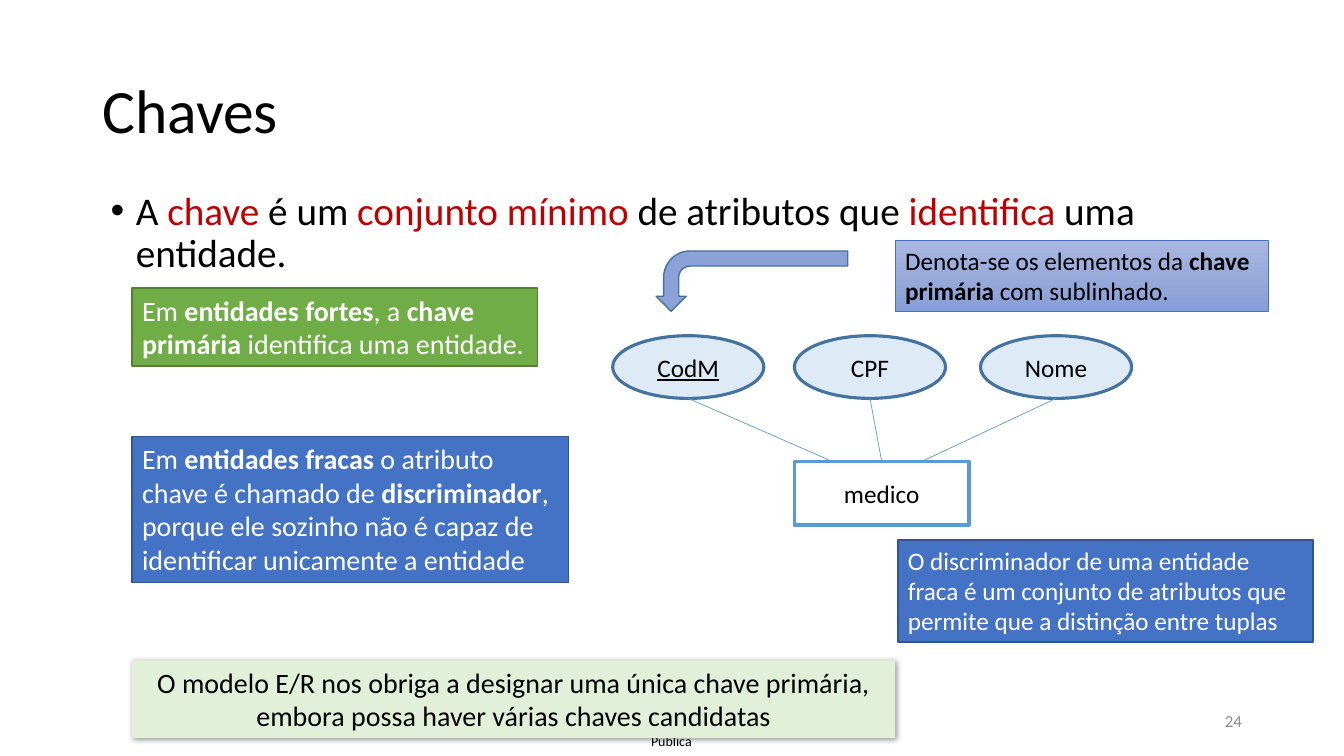
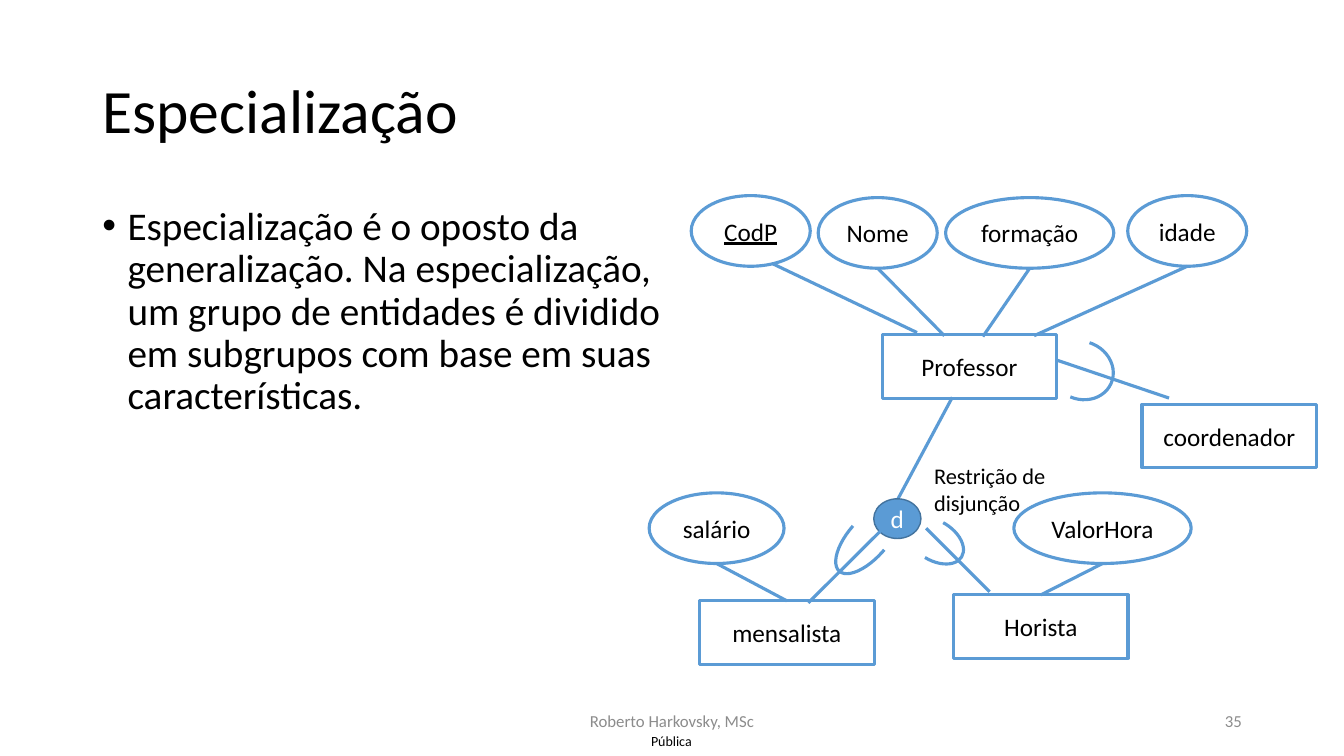
from lxml.etree import SubElement
from pptx import Presentation
from pptx.dml.color import RGBColor
from pptx.enum.shapes import MSO_CONNECTOR, MSO_SHAPE
from pptx.enum.text import MSO_ANCHOR, PP_ALIGN
from pptx.oxml.ns import qn
from pptx.util import Cm, Pt

FONT = "Calibri"
BLACK, WHITE, GRAY, RED = "000000", "FFFFFF", "8C8C8C", "C00000"
SKY, STEEL, PALE_BLUE = "5B9BD5", "43739E", "DEEBF7"
BLUE, NAVY, PERIWINKLE = "4472C4", "325491", "8CA1D8"
GREEN, DARK_GREEN, PALE_GREEN = "70AD47", "538035", "E2F0D9"

BOLD = {"bold": True}
KEYWORD = {"color": RED}
ENTITY_SIZE = (4.4, 1.6)
KEY_ATTRIBUTE_SIZE = (3.81, 1.58)
ATTRIBUTE_HEIGHT = 1.78
DIAGRAM_LINE = 2.25
THIN_LINE = 0.5


def rgb(color):
    return RGBColor.from_string(color)


def bottom_of(shape):
    """Middle of the lower side, in centimetres."""
    return (shape.left + shape.width / 2) / Cm(1), (shape.top + shape.height) / Cm(1)


def write(shape, text, size=18, color=BLACK, align=PP_ALIGN.LEFT, anchor=MSO_ANCHOR.TOP,
          underline=False, line_spacing=None, bullet=False, inset=None):
    """Text is a string, or a list of strings and (string, run format) pairs."""
    frame = shape.text_frame
    frame.word_wrap = True
    frame.vertical_anchor = anchor
    if inset is not None:
        frame.margin_left = frame.margin_right = Cm(inset)
        frame.margin_top = frame.margin_bottom = Cm(inset)
    paragraph = frame.paragraphs[0]
    paragraph.alignment = align
    if line_spacing:
        paragraph.line_spacing = line_spacing
    if bullet:
        properties = paragraph._p.get_or_add_pPr()
        properties.set("marL", str(Cm(0.635)))
        properties.set("indent", str(-Cm(0.635)))
        SubElement(properties, qn("a:buFont")).set("typeface", "Arial")
        SubElement(properties, qn("a:buChar")).set("char", "•")
    for part in [text] if isinstance(text, str) else text:
        words, changes = (part, {}) if isinstance(part, str) else part
        run = paragraph.add_run()
        run.text = words
        font = run.font
        font.name, font.size = FONT, Pt(size)
        font.bold = changes.get("bold", False)
        font.underline = underline
        font.color.rgb = rgb(changes.get("color", color))


class Deck:
    def __init__(self):
        self.presentation = Presentation()
        self.presentation.slide_width = Cm(33.87)
        self.presentation.slide_height = Cm(19.05)
        self.slide = None

    def add_slide(self, title, number):
        self.slide = self.presentation.slides.add_slide(self.presentation.slide_layouts[6])
        middle = MSO_ANCHOR.MIDDLE
        self.text((16.03, 18.31, 1.78, 0.74), "Pública", size=10, align=PP_ALIGN.CENTER,
                  anchor=middle, inset=0)
        self.text((2.33, 1.01, 29.21, 3.68), title, size=44, anchor=middle, line_spacing=0.9)
        self.text((23.93, 17.65, 7.62, 1.02), str(number), size=12, color=GRAY,
                  align=PP_ALIGN.RIGHT, anchor=middle)

    def author(self, name):
        self.text((11.22, 17.65, 11.43, 1.02), name, size=12, color=GRAY,
                  align=PP_ALIGN.CENTER, anchor=MSO_ANCHOR.MIDDLE)

    def text(self, box, text, **text_format):
        write(self.slide.shapes.add_textbox(*map(Cm, box)), text, **text_format)

    def bullet(self, box, text):
        self.text(box, text, size=28, line_spacing=0.9, bullet=True)

    def shape(self, kind, box, fill=None, line=None, weight=1.0):
        shape = self.slide.shapes.add_shape(kind, *map(Cm, box))
        shape.shadow.inherit = False
        if fill:
            shape.fill.solid()
            shape.fill.fore_color.rgb = rgb(fill)
        else:
            shape.fill.background()
        if line:
            shape.line.color.rgb = rgb(line)
            shape.line.width = Pt(weight)
        else:
            shape.line.fill.background()
        return shape

    def note(self, box, text, fill, line=None, weight=1.0, **text_format):
        shape = self.shape(MSO_SHAPE.RECTANGLE, box, fill, line, weight)
        write(shape, text, **text_format)
        return shape

    def node(self, kind, box, text, fill=WHITE, line=SKY, weight=DIAGRAM_LINE, **text_format):
        shape = self.shape(kind, box, fill, line, weight)
        write(shape, text, align=PP_ALIGN.CENTER, anchor=MSO_ANCHOR.MIDDLE, **text_format)
        return shape

    def entity(self, left, top, name):
        return self.node(MSO_SHAPE.RECTANGLE, (left, top, *ENTITY_SIZE), name)

    def attribute(self, box, name, **node_format):
        return self.node(MSO_SHAPE.OVAL, box, name, **node_format)

    def link(self, start, end, weight=DIAGRAM_LINE):
        """Ends are points; an entity as the end is joined at its top."""
        joined = not isinstance(end, tuple)
        stop = (0, 0) if joined else end
        connector = self.slide.shapes.add_connector(
            MSO_CONNECTOR.STRAIGHT, *map(Cm, (*start, *stop)))
        if joined:
            connector.end_connect(end, 0)
        connector.line.color.rgb = rgb(SKY)
        connector.line.width = Pt(weight)
        SubElement(connector._element.spPr, qn("a:effectLst"))

    def subset_arc(self, box, rotation):
        arc = self.shape(MSO_SHAPE.ARC, box, line=SKY, weight=DIAGRAM_LINE)
        arc.adjustments[0], arc.adjustments[1] = 157.61, 53.6
        arc.rotation = rotation

    def soft_shadow(self, shape):
        effects = shape._element.spPr.find(qn("a:effectLst"))
        shadow = SubElement(effects, qn("a:outerShdw"), blurRad=str(Pt(4)), dist=str(Pt(1)),
                            dir="2700000", algn="tl", rotWithShape="0")
        color = SubElement(shadow, qn("a:srgbClr"), val=BLACK)
        SubElement(color, qn("a:alpha"), val="40000")

    def gradient(self, shape, top_color, bottom_color):
        shape.fill.gradient()
        shape.fill.gradient_angle = 270
        for stop, color in zip(shape.fill.gradient_stops, (top_color, bottom_color)):
            stop.color.rgb = rgb(color)


def build_keys(deck):
    deck.add_slide("Chaves", 24)
    deck.bullet((2.54, 4.7, 28.78, 2.21), [
        "A ", ("chave", KEYWORD), " é um ", ("conjunto mínimo ", KEYWORD),
        "de atributos que ", ("identifica", KEYWORD), " uma entidade."])

    notation = deck.note((22.56, 6.05, 9.4, 1.8), [
        "Denota-se os elementos da ", ("chave primária ", BOLD), "com sublinhado."],
        PERIWINKLE, BLUE, THIN_LINE)
    deck.gradient(notation, "A8B7DF", "889ED7")
    single_key = deck.note(
        (3.33, 16.64, 19.23, 1.96),
        "O modelo E/R nos obriga a designar uma única chave primária, "
        "embora possa haver várias chaves candidatas",
        PALE_GREEN, size=20, align=PP_ALIGN.CENTER)
    deck.soft_shadow(single_key)

    doctor = deck.entity(20.02, 11.63, "medico")
    for left, name, end in ((24.71, "Nome", (23.16, 11.66)), (20.02, "CPF", doctor),
                            (15.44, "CodM", (20.98, 11.63))):
        attribute = deck.attribute((left, 8.46, *KEY_ATTRIBUTE_SIZE), name, fill=PALE_BLUE,
                                   line=STEEL, underline=name == "CodM")
        deck.link(bottom_of(attribute), end, THIN_LINE)

    deck.note((3.33, 11.0, 11.0, 3.68), [
        "Em ", ("entidades fracas ", BOLD), "o atributo chave é chamado de ",
        ("discriminador", BOLD),
        ", porque ele sozinho não é capaz de identificar unicamente a entidade"],
        BLUE, NAVY, size=20, color=WHITE)
    deck.note((3.33, 7.26, 10.21, 1.96), [
        "Em ", ("entidades fortes", BOLD), ", a ", ("chave primária ", BOLD),
        "identifica uma entidade."], GREEN, DARK_GREEN, size=20, color=WHITE)

    arrow = deck.shape(MSO_SHAPE.BENT_ARROW, (18.19, 4.67, 1.52, 4.83), PERIWINKLE, STEEL)
    arrow.rotation = 270
    arrow._element.spPr.find(qn("a:xfrm")).set("flipH", "1")
    deck.note((22.63, 13.61, 10.46, 2.57),
              "O discriminador de uma entidade fraca é um conjunto de atributos que "
              "permite que a distinção entre tuplas", BLUE, NAVY, color=WHITE)


def build_specialization(deck):
    deck.add_slide("Especialização", 35)
    deck.bullet((2.33, 5.08, 15.65, 6.48),
                "Especialização é o oposto da generalização. Na especialização, um grupo de "
                "entidades é dividido em subgrupos com base em suas características.")
    deck.author("Roberto Harkovsky, MSc")

    deck.entity(22.23, 8.44, "Professor")
    for left, top, width, name, start, end in (
            (17.42, 4.93, 3, "CodP", (19.48, 6.65), (23.11, 8.38)),
            (20.62, 4.98, 3, "Nome", None, (23.8, 8.46)),
            (23.83, 4.98, 4.24, "formação", None, (24.77, 8.48)),
            (28.42, 4.93, 3, "idade", None, (26.06, 8.46))):
        attribute = deck.attribute((left, top, width, ATTRIBUTE_HEIGHT), name,
                                   underline=name == "CodP")
        deck.link(start or bottom_of(attribute), end)

    deck.link((24, 10.01), (22.63, 12.57))
    for entity_left, entity_top, entity_name, left, width, name in (
            (17.63, 15.14, "mensalista", 16.36, 3.4, "salário"),
            (24.03, 14.99, "Horista", 25.55, 4.47, "ValorHora")):
        entity = deck.entity(entity_left, entity_top, entity_name)
        attribute = deck.attribute((left, 12.42, width, ATTRIBUTE_HEIGHT), name)
        deck.link(bottom_of(attribute), entity)

    deck.node(MSO_SHAPE.OVAL, (22.02, 12.57, 1.19, 1), "d", fill=SKY, line=STEEL, weight=1,
              color=WHITE)
    deck.text((23.29, 11.53, 3.71, 1.63), "Restrição de disjunção", size=16)
    for start, end, arc_box, rotation in (
            ((22.23, 13.34), (20.37, 15.19), (20.78, 13.08, 2.18, 0.99), 131.4),
            ((23.34, 13.31), (24.94, 14.91), (22.78, 13.13, 1.57, 0.99), 31.6),
            ((26.62, 9.07), (29.46, 10.03), (26.44, 8.61, 1.63, 1.45), 23.5)):
        deck.link(start, end)
        deck.subset_arc(arc_box, rotation)
    deck.entity(28.78, 10.19, "coordenador")


def main():
    deck = Deck()
    build_keys(deck)
    build_specialization(deck)
    deck.presentation.save("out.pptx")


if __name__ == "__main__":
    main()
